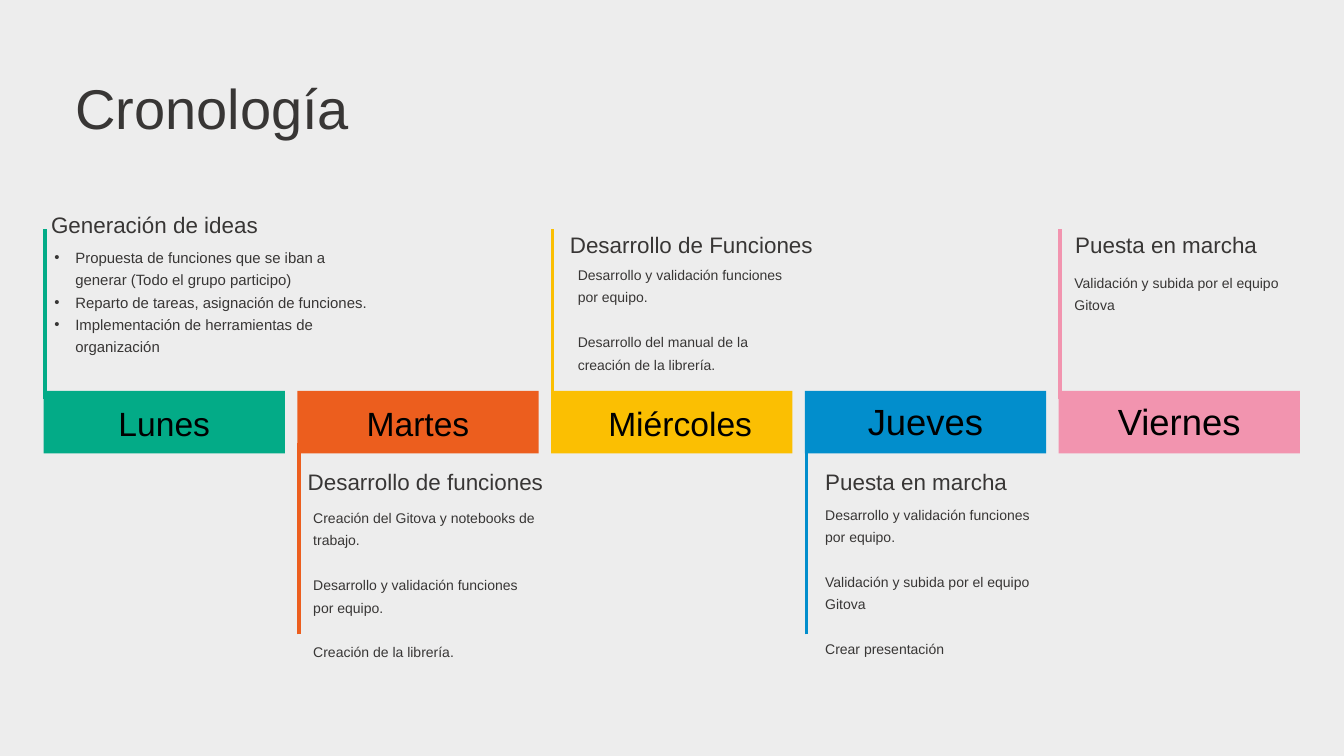
from dataclasses import dataclass

from lxml.etree import SubElement
from pptx import Presentation
from pptx.dml.color import RGBColor
from pptx.enum.shapes import MSO_CONNECTOR, MSO_SHAPE
from pptx.enum.text import MSO_ANCHOR, MSO_AUTO_SIZE, PP_ALIGN
from pptx.oxml.ns import qn
from pptx.util import Cm, Pt


@dataclass(frozen=True)
class Theme:
    """Colours, font and type sizes of the slide."""
    font: str = "Arial"
    back: str = "EDEDED"
    ink: str = "383635"
    black: str = "000000"
    title: int = 60
    head: int = 24
    body: int = 15
    rail: float = 3.75


@dataclass(frozen=True)
class Note:
    """Heading and body of one day; boxes are (x from bar, y, width, height)."""
    head: str
    lines: tuple
    head_box: tuple
    body_box: tuple
    size: int = 15
    list_style: bool = False


@dataclass(frozen=True)
class Day:
    """One day of the week with its bar and its note."""
    name: str
    color: str
    note: Note
    below: bool = False
    size: int = 36
    width: float = 5.11
    shift: float = 0


THEME = Theme()
LEFT, PITCH = 1.65, 9.59
BAR_TOP, BAR_WIDE, BAR_HIGH = 14.78, 9.12, 2.36
WORK = "Desarrollo y validación funciones por equipo."
UPLOAD = "Validación y subida por el equipo Gitova"

DAYS = (
    Day("Lunes", "03AB87", Note(
        "Generación de ideas",
        ("Propuesta de funciones que se iban a generar (Todo el grupo participo)",
         "Reparto de tareas, asignación de funciones.",
         "Implementación de herramientas de organización"),
        (0.28, 7.92, 10.62, 1.07), (0.41, 9.22, 12.12, 4.19),
        size=16, list_style=True)),
    Day("Martes", "EC5E1E", Note(
        "Desarrollo de funciones",
        ("Creación del Gitova y notebooks de trabajo.", WORK,
         "Creación de la librería."),
        (0.39, 17.63, 10.74, 1.07), (0.6, 19.05, 8.53, 5.87)), below=True),
    Day("Miércoles", "FBBF02", Note(
        "Desarrollo de Funciones",
        (WORK, "Desarrollo del manual de la creación de la librería."),
        (0.71, 8.66, 17.07, 1.07), (1.01, 9.86, 8.53, 4.19)),
        width=6.6, shift=0.32),
    Day("Jueves", "028ECC", Note(
        "Puesta en marcha", (WORK, UPLOAD, "Crear presentación"),
        (0.77, 17.63, 8, 1.07), (0.77, 18.92, 8, 5.87)), below=True, size=39),
    Day("Viernes", "F294AF", Note(
        "Puesta en marcha", (UPLOAD,),
        (0.63, 8.66, 8.53, 1.07), (0.6, 10.16, 8, 1.65)), size=39),
)


def paint(color):
    """Turn a hex string into a colour."""
    return RGBColor.from_string(color)


def write(shape, *lines, size, lead, color=THEME.ink, align=PP_ALIGN.LEFT,
          gap=0, bullet=False):
    """Fill a shape with one formatted paragraph per line."""
    frame = shape.text_frame
    frame.word_wrap = True
    frame.auto_size = MSO_AUTO_SIZE.NONE
    frame.vertical_anchor = MSO_ANCHOR.TOP
    frame.margin_left = frame.margin_right = 0
    frame.margin_top = frame.margin_bottom = 0
    for i, line in enumerate(lines):
        para = frame.paragraphs[0] if i == 0 else frame.add_paragraph()
        para.alignment = align
        para.line_spacing = Pt(lead)
        para.space_before = Pt(gap if i else 0)
        if bullet:
            props = para._p.get_or_add_pPr()
            props.set("marL", str(Cm(0.79)))
            props.set("indent", str(Cm(-0.79)))
            SubElement(props, qn("a:buFont")).set("typeface", THEME.font)
            SubElement(props, qn("a:buChar")).set("char", "•")
        run = para.add_run()
        run.text = line
        run.font.name = THEME.font
        run.font.size = Pt(size)
        run.font.bold = False
        run.font.color.rgb = paint(color)


def add_text(slide, box, *lines, **style):
    """Add a text box at a box given in centimetres."""
    write(slide.shapes.add_textbox(*map(Cm, box)), *lines, **style)


def add_title(slide, box, text):
    """Move and format the title placeholder."""
    title = slide.shapes.title
    title.left, title.top, title.width, title.height = map(Cm, box)
    write(title, text, size=THEME.title, lead=64)


def add_bar(slide, box, day):
    """Draw the coloured bar of a day with its name."""
    x, y, wide, high = box
    bar = slide.shapes.add_shape(MSO_SHAPE.RECTANGLE, *map(Cm, box))
    bar.shadow.inherit = False
    bar.fill.solid()
    bar.fill.fore_color.rgb = paint(day.color)
    bar.line.fill.background()
    left = x + (wide - day.width) / 2 + day.shift
    add_text(slide, (left, y + 0.46, day.width, 1.5), day.name, size=day.size,
             lead=43, color=THEME.black, align=PP_ALIGN.CENTER)


def add_rail(slide, box, day):
    """Draw the line that joins a bar to its note."""
    x, y, wide, high = box
    x += 0.06
    start, end = (y + 9.2, y + 1.98) if day.below else (y + 0.31, y - 6.12)
    rail = slide.shapes.add_connector(
        MSO_CONNECTOR.STRAIGHT, Cm(x), Cm(start), Cm(x), Cm(end))
    rail.line.color.rgb = paint(day.color)
    rail.line.width = Pt(THEME.rail)
    SubElement(rail._element.spPr, qn("a:effectLst"))


def add_note(slide, box, note):
    """Write the heading and body of a day beside its rail."""
    def place(part):
        return (box[0] + part[0], *part[1:])

    add_text(slide, place(note.head_box), note.head, size=THEME.head, lead=31)
    add_text(slide, place(note.body_box), *note.lines, size=note.size, lead=24,
             gap=0 if note.list_style else 24, bullet=note.list_style)


def main():
    """Build the timeline slide and save it."""
    deck = Presentation()
    deck.slide_width, deck.slide_height = Cm(50.8), Cm(28.58)
    slide = deck.slides.add_slide(deck.slide_layouts[5])
    slide.background.fill.solid()
    slide.background.fill.fore_color.rgb = paint(THEME.back)
    add_title(slide, (2.84, 3.07, 25.55, 2.29), "Cronología")
    for i, day in enumerate(DAYS):
        box = (LEFT + i * PITCH, BAR_TOP, BAR_WIDE, BAR_HIGH)
        add_bar(slide, box, day)
        add_rail(slide, box, day)
        add_note(slide, box, day.note)
    deck.save("out.pptx")


if __name__ == "__main__":
    main()
